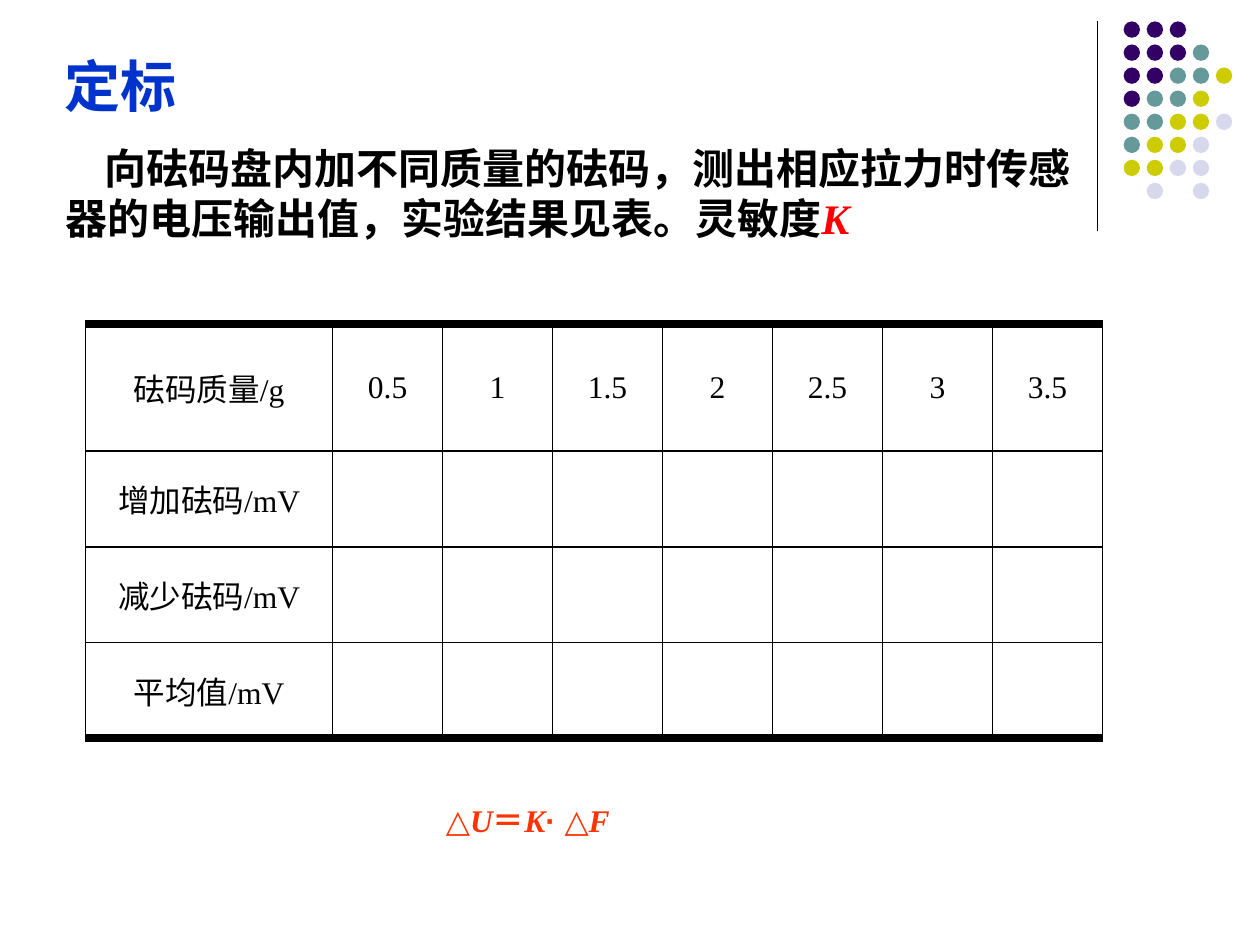
from lxml import etree
from pptx import Presentation
from pptx.dml.color import RGBColor
from pptx.enum.shapes import MSO_CONNECTOR, MSO_SHAPE
from pptx.enum.text import MSO_ANCHOR, PP_ALIGN
from pptx.oxml.ns import qn
from pptx.util import Inches, Pt

BLACK = RGBColor(0x00, 0x00, 0x00)
BLUE = RGBColor(0x00, 0x33, 0xCC)
RED = RGBColor(0xFF, 0x00, 0x00)
ORANGE = RGBColor(0xFF, 0x33, 0x00)
PURPLE = RGBColor(0x33, 0x00, 0x66)
TEAL = RGBColor(0x66, 0x99, 0x99)
OLIVE = RGBColor(0xCC, 0xCC, 0x00)
LILAC = RGBColor(0xD8, 0xD8, 0xEC)

SANS, SERIF = "Arial", "Times New Roman"
OVAL, STRAIGHT = MSO_SHAPE.OVAL, MSO_CONNECTOR.STRAIGHT
CENTER = PP_ALIGN.CENTER
TOP, MIDDLE, BOTTOM = MSO_ANCHOR.TOP, MSO_ANCHOR.MIDDLE, MSO_ANCHOR.BOTTOM

DOT_COLORS = {"P": PURPLE, "T": TEAL, "O": OLIVE, "L": LILAC}
DOT_ROWS = ["PPP", "PPPT", "PPTTO", "PTTO", "TTOOL", "TOOL", "OOLL", " L L"]

TABLE_ROWS = [
    ["砝码质量/g", "0.5", "1", "1.5", "2", "2.5", "3", "3.5"],
    ["增加砝码/mV"],
    ["减少砝码/mV"],
    ["平均值/mV"],
]


def add_run(p, text, size, color, font=SANS, bold=True, italic=False):
    r = p.add_run()
    r.text = text
    f = r.font
    f.name, f.size, f.bold, f.italic = font, Pt(size), bold, italic
    f.color.rgb = color


def add_text_box(s, box, anchor=TOP):
    """Add a wrapping text box and return its text frame."""
    tf = s.shapes.add_textbox(*map(Inches, box)).text_frame
    tf.word_wrap = True
    tf.vertical_anchor = anchor
    return tf


def add_dot_ornament(s, box):
    """Vertical rule at the left of the box, with a grid of dots beside it."""
    left, top, width, height = box
    rule = s.shapes.add_connector(
        STRAIGHT, *map(Inches, (left, top, left, top + height)))
    rule.line.color.rgb = BLACK
    rule.line.width = Pt(0.75)
    etree.SubElement(rule._element.spPr, qn("a:effectLst"))

    size, pitch = 0.13, 0.183
    first = left + width - 4 * pitch - size
    for row, codes in enumerate(DOT_ROWS):
        for col, code in enumerate(codes):
            if code not in DOT_COLORS:
                continue
            dot = s.shapes.add_shape(OVAL, *map(Inches, (
                first + col * pitch, top + row * pitch, size, size)))
            dot.shadow.inherit = False
            dot.fill.solid()
            dot.fill.fore_color.rgb = DOT_COLORS[code]
            dot.line.fill.background()


def add_title(s, box):
    tf = add_text_box(s, box, BOTTOM)
    add_run(tf.paragraphs[0], "定标", 32, BLUE)


def add_body(s, box):
    tf = add_text_box(s, box)
    tf.margin_top = Inches(0.51)
    p = tf.paragraphs[0]
    pPr = p._p.get_or_add_pPr()
    pPr.set("marL", str(Inches(0.38)))
    pPr.set("indent", str(Inches(0.31)))
    add_run(p, "向砝码盘内加不同质量的砝码，测出相应拉力时传感器的电压输出值，实验结果见表",
            24, BLACK)
    add_run(p, "。灵敏度", 24, BLACK, SERIF)
    add_run(p, "K", 24, RED, SERIF, italic=True)


def set_borders(cell, top, bottom):
    """Draw black borders, 1 pt at the sides and as given above and below."""
    tcPr = cell._tc.get_or_add_tcPr()
    sides = [("L", 1), ("R", 1), ("T", top), ("B", bottom)]
    for i, (side, width) in enumerate(sides):
        ln = etree.Element(qn(f"a:ln{side}"), w=str(Pt(width)))
        fill = etree.SubElement(ln, qn("a:solidFill"))
        etree.SubElement(fill, qn("a:srgbClr"), val=str(BLACK))
        tcPr.insert(i, ln)


def add_calibration_table(s, box):
    n_rows, n_cols = len(TABLE_ROWS), len(TABLE_ROWS[0])
    width, height = box[2:]
    label_w, head_h = 1.96, 1.01
    table = s.shapes.add_table(n_rows, n_cols, *map(Inches, box)).table
    table.first_row = table.horz_banding = False
    for i, col in enumerate(table.columns):
        col.width = Inches((width - label_w) / (n_cols - 1) if i else label_w)
    for i, row in enumerate(table.rows):
        row.height = Inches((height - head_h) / (n_rows - 1) if i else head_h)

    for i, texts in enumerate(TABLE_ROWS):
        for j in range(n_cols):
            cell = table.cell(i, j)
            cell.fill.background()
            cell.vertical_anchor = MIDDLE
            set_borders(cell, 5 if i == 0 else 1, 5 if i == n_rows - 1 else 1)
            if j < len(texts):
                p = cell.text_frame.paragraphs[0]
                p.alignment = CENTER
                add_run(p, texts[j], 18, BLACK, SERIF, bold=False)


def add_formula(s, box):
    p = add_text_box(s, box).paragraphs[0]
    for symbol, variable in [("△", "U"), ("＝", "K"), ("· △", "F")]:
        add_run(p, symbol, 18, ORANGE)
        add_run(p, variable, 18, ORANGE, SERIF, italic=True)


def main():
    prs = Presentation()
    prs.slide_width, prs.slide_height = Inches(10), Inches(7.5)
    s = prs.slides.add_slide(prs.slide_layouts[6])
    add_dot_ornament(s, (8.71, 0.17, 1.07, 1.66))
    add_title(s, (0.41, 0.21, 1.75, 0.78))
    add_body(s, (0.04, 0.62, 8.71, 1.52))
    add_calibration_table(s, (0.68, 2.57, 8.07, 3.29))
    add_formula(s, (3.44, 6.31, 2.69, 0.4))
    prs.save("out.pptx")


if __name__ == "__main__":
    main()
